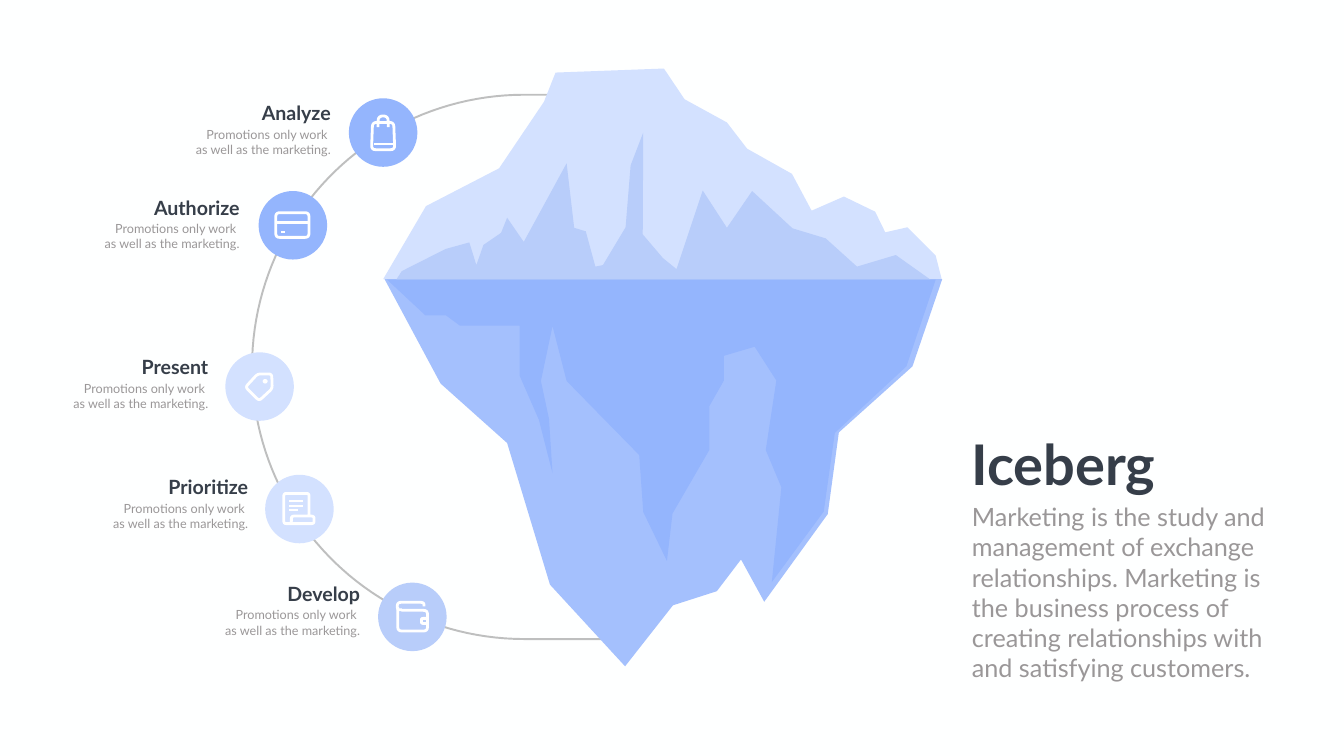
"""Build the iceberg slide with five labelled steps along an arc."""
from math import cos, pi, sin

from lxml.etree import SubElement
from pptx import Presentation
from pptx.dml.color import RGBColor
from pptx.enum.shapes import MSO_CONNECTOR, MSO_SHAPE
from pptx.enum.text import MSO_AUTO_SIZE, PP_ALIGN
from pptx.oxml.ns import qn
from pptx.util import Inches, Pt

BACKGROUND = RGBColor(0xFE, 0xFF, 0xFF)
WHITE = RGBColor(0xFF, 0xFF, 0xFF)
GRAY = RGBColor(0x80, 0x80, 0x80)
TITLE = RGBColor(0x36, 0x3E, 0x49)
BODY = RGBColor(0x9A, 0x97, 0x98)
PALE = RGBColor(0xD3, 0xE1, 0xFF)
SOFT = RGBColor(0xB8, 0xCD, 0xFA)
LIGHT = RGBColor(0xA4, 0xC0, 0xFD)
BLUE = RGBColor(0x94, 0xB5, 0xFD)
FONT = "Lato"
DIAMETER = 1.36

prs = Presentation()
prs.slide_width, prs.slide_height = Inches(26.66), Inches(15)
slide = prs.slides.add_slide(prs.slide_layouts[6])
slide.background.fill.solid()
slide.background.fill.fore_color.rgb = BACKGROUND
shapes = slide.shapes


def add_outline(points, fill=None, line=None, width=4, closed=True, radius=0):
    """Draw a freeform through points in inches, rounding corners by radius."""
    path = []
    for i, (x, y) in enumerate(points):
        if not radius or (not closed and i in (0, len(points) - 1)):
            path.append((x, y))
            continue
        ends = []
        for nx, ny in (points[i - 1], points[(i + 1) % len(points)]):
            length = ((nx - x) ** 2 + (ny - y) ** 2) ** 0.5
            t = min(radius / length, 0.5)
            ends.append((x + (nx - x) * t, y + (ny - y) * t))
        (ax, ay), (bx, by) = ends
        for t in (0, 0.25, 0.5, 0.75, 1):
            u = 1 - t
            path.append((u * u * ax + 2 * u * t * x + t * t * bx,
                         u * u * ay + 2 * u * t * y + t * t * by))
    path = [(Inches(x), Inches(y)) for x, y in path]
    builder = shapes.build_freeform(*path[0])
    builder.add_line_segments(path[1:], close=closed)
    s = builder.convert_to_shape()
    s.shadow.inherit = False
    if fill is None:
        s.fill.background()
    else:
        s.fill.solid()
        s.fill.fore_color.rgb = fill
    if line is None:
        s.line.fill.background()
    else:
        s.line.color.rgb = line
        s.line.width = Pt(width)
    return s


def add_text(parent, box, lines, size, color, bold=False, align=PP_ALIGN.LEFT, wrap=True):
    """Add a text box with one paragraph per line."""
    tf = parent.add_textbox(*[Inches(v) for v in box]).text_frame
    tf.text = "\n".join(lines)
    tf.word_wrap = wrap
    tf.auto_size = MSO_AUTO_SIZE.SHAPE_TO_FIT_TEXT
    for p in tf.paragraphs:
        p.alignment = align
        for r in p.runs:
            r.font.name, r.font.size, r.font.bold = FONT, Pt(size), bold
            r.font.color.rgb = color


angles = [pi / 2 + pi * i / 90 for i in range(91)]
arc = [(10.4 + 5.4 * cos(a), 7.28 - 5.4 * sin(a)) for a in angles]
ring = add_outline([(12.42, 1.88), *arc, (12.46, 12.68)], line=GRAY, width=2.75, closed=False)
SubElement(ring.line.fill._xPr.find(qn("a:solidFill"))[0], qn("a:alpha"), val="50000")

iceberg = [
    (PALE, [(7.6, 5.54), (8.45, 4.09), (9.9, 3.34), (10.79, 2.02), (11.02, 1.44), (13.17, 1.36),
            (13.58, 1.97), (14.42, 2.43), (14.82, 2.95), (15.71, 3.45), (16.1, 4.18),
            (16.74, 3.9), (17.36, 4.2), (17.56, 4.61), (18, 4.51), (18.56, 5.07), (18.68, 5.54)]),
    (LIGHT, [(7.63, 5.54), (18.69, 5.54), (18.1, 7.27), (16.64, 8.58), (16.42, 10.2),
             (15.16, 11.94), (14.7, 11.1), (14.22, 11.73), (13.35, 12.01), (12.4, 13.22),
             (10.91, 11.6), (10.06, 8.79), (8.74, 7.61)]),
    (SOFT, [(18.46, 5.55), (17.77, 5.06), (17, 5.29), (16.38, 4.73), (15.72, 4.53),
            (14.92, 3.79), (14.42, 4.52), (13.94, 3.78), (13.42, 5.34), (13.15, 5.12),
            (12.75, 4.65), (12.76, 2.63), (12.51, 3.28), (12.41, 4.51), (11.96, 5.26),
            (11.81, 5.29), (11.62, 4.59), (11.39, 4.52), (11.24, 3.24), (10.39, 4.8),
            (10.06, 4.32), (9.94, 4.62), (9.59, 4.86), (9.45, 5.26), (9.31, 4.81),
            (8.84, 4.94), (7.97, 5.38), (7.86, 5.55)]),
    (BLUE, [(7.68, 5.55), (8.44, 6.26), (8.85, 6.26), (9.12, 6.46), (10.31, 6.46), (10.31, 7.46),
            (10.69, 8.33), (10.96, 9.39), (10.89, 8.31), (10.73, 7.56), (10.96, 6.47),
            (11.24, 7.56), (12.68, 9.03), (12.76, 10.16), (13.23, 11.13), (13.34, 10.19),
            (14.07, 8.93), (14.07, 8.06), (14.36, 7.55), (14.36, 7.06), (14.97, 6.88),
            (15.4, 7.55), (15.19, 8.93), (15.5, 9.67), (15.31, 11.55), (16.34, 10.15),
            (16.56, 8.59), (17.98, 7.27), (18.56, 5.55)]),
]
for color, points in iceberg:
    add_outline(points, fill=color)

steps = [
    ("Analyze", 6.92, 1.95, BLUE, 6.66, 1.95),
    ("Authorize", 5.13, 3.79, BLUE, 4.85, 3.83),
    ("Present", 4.47, 6.99, PALE, 4.23, 6.99),
    ("Prioritize", 5.26, 9.42, PALE, 5.02, 9.38),
    ("Develop", 7.5, 11.56, SOFT, 7.24, 11.49),
]
tag_hole = (5.21, 7.52, 0.1, 0.09, WHITE)
discs = [(x, y, DIAMETER, DIAMETER, color) for _, x, y, color, _, _ in steps]
for x, y, w, h, color in [*discs, tag_hole]:
    s = shapes.add_shape(MSO_SHAPE.OVAL, Inches(x), Inches(y), Inches(w), Inches(h))
    s.shadow.inherit = False
    s.fill.solid()
    s.fill.fore_color.rgb = color
    s.line.fill.background()

bag = [(7.39, 2.43), (7.81, 2.43), (7.83, 2.97), (7.37, 2.97)]
handle = [(7.5, 2.52), (7.5, 2.3), (7.7, 2.3), (7.7, 2.52)]
card = [(5.47, 4.22), (6.13, 4.22), (6.13, 4.71), (5.47, 4.71)]
tag = [(5.11, 7.42), (5.39, 7.42), (5.4, 7.71), (5.14, 7.95), (4.87, 7.68)]
scroll = [(6.13, 10.24), (6.13, 9.79), (5.63, 9.79), (5.63, 10.39), (5.78, 10.39),
          (5.78, 10.24), (6.23, 10.24), (6.23, 10.39), (5.71, 10.39)]
wallet = [(7.96, 12.11), (8.48, 12.11), (8.48, 12.52), (7.89, 12.52), (7.89, 12.04)]
flap = [(8.41, 12.03), (8.41, 11.95), (7.88, 11.95), (7.88, 12.1), (7.97, 12.1)]
clasp = [(8.36, 12.27), (8.48, 12.27), (8.48, 12.37), (8.36, 12.37)]
for points, radius, closed in [
    (bag, 0.08, True), (handle, 0.1, False), (card, 0.08, True), (tag, 0.06, True),
    (scroll, 0.05, False), (wallet, 0.08, False), (flap, 0.08, False), (clasp, 0.03, True),
]:
    add_outline(points, line=WHITE, closed=closed, radius=radius)

bars = [
    (7.42, 7.82, 2.85, 3), (5.49, 6.14, 4.42, 4.25), (5.58, 5.66, 4.6, 3.5),
    (5.73, 6.02, 9.94, 3), (5.73, 6.02, 10.04, 3), (5.73, 5.91, 10.12, 3),
]
for x1, x2, y, width in bars:
    s = shapes.add_connector(MSO_CONNECTOR.STRAIGHT, Inches(x1), Inches(y), Inches(x2), Inches(y))
    s.line.color.rgb = WHITE
    s.line.width = Pt(width)
    SubElement(s._element.spPr, qn("a:effectLst"))

for name, _, _, _, right, top in steps:
    label = shapes.add_group_shape().shapes
    add_text(label, (right - 1.97, top, 1.97, 0.57), [name], 28, TITLE, True, PP_ALIGN.RIGHT)
    add_text(label, (right - 3.05, top + 0.51, 3.05, 0.71),
             ["Promotions only work ", "as well as the marketing."], 18, BODY, align=PP_ALIGN.RIGHT)

heading = shapes.add_group_shape().shapes
add_text(heading, (19.17, 8.48, 3.95, 1.45), ["Iceberg"], 80, TITLE, True, wrap=False)
add_text(heading, (19.18, 9.9, 6.54, 3.74),
         ["Marketing is the study and management of exchange relationships. Marketing is the "
          "business process of creating relationships with and satisfying customers."], 36, BODY)

prs.save("out.pptx")
